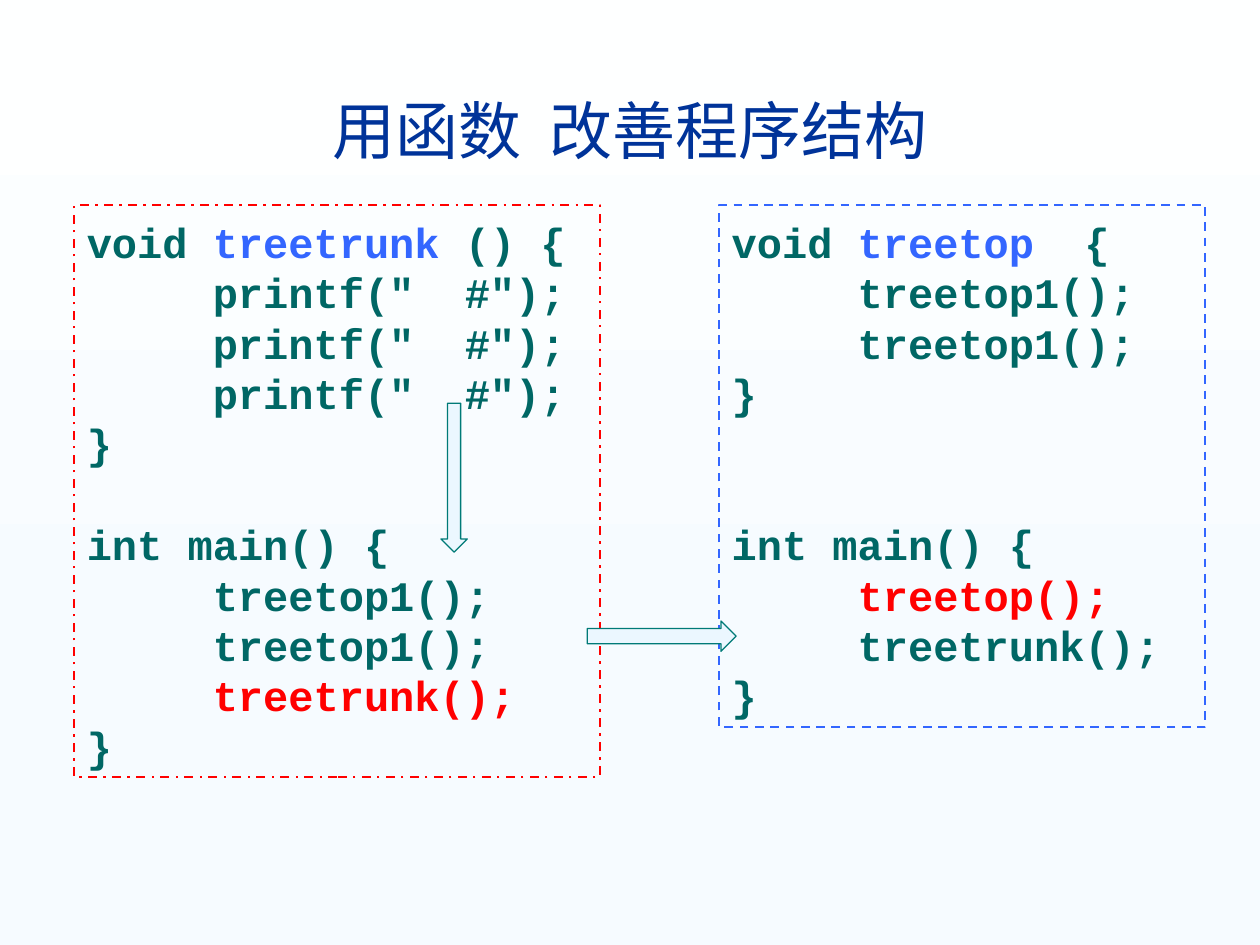
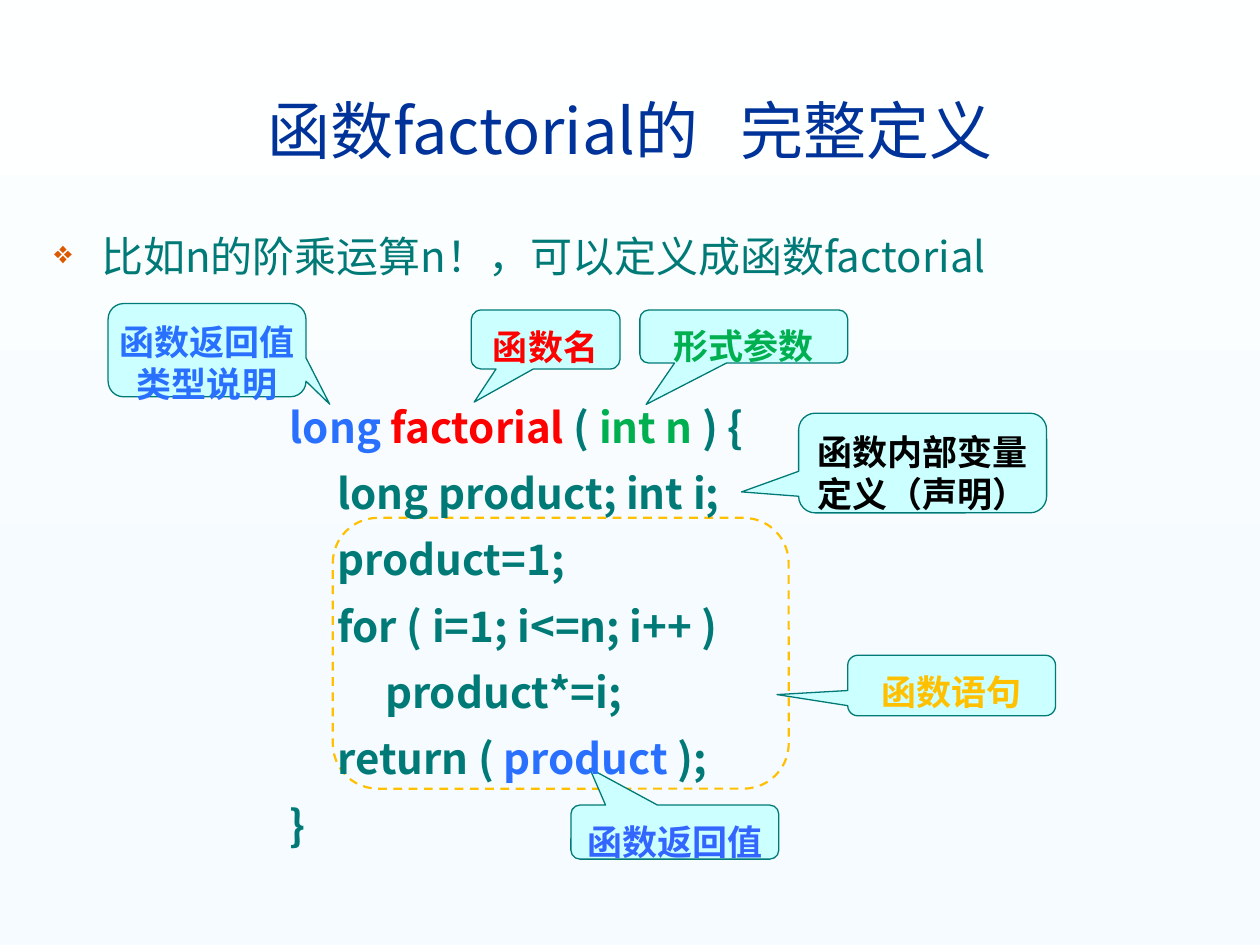
from lxml import etree
from pptx import Presentation
from pptx import util as u
from pptx.dml.color import RGBColor
from pptx.enum import dml, shapes, text
from pptx.oxml.ns import qn

NAVY = RGBColor(0x00, 0x33, 0x99)
TEAL = RGBColor(0x00, 0x7A, 0x77)
DARK_TEAL = RGBColor(0x00, 0x67, 0x65)
RED = RGBColor(0xFF, 0x00, 0x00)
BLUE = RGBColor(0x33, 0x66, 0xFF)
BRIGHT_BLUE = RGBColor(0x29, 0x70, 0xFF)
GREEN = RGBColor(0x00, 0xB0, 0x50)
AMBER = RGBColor(0xFF, 0xC0, 0x00)
ORANGE = RGBColor(0xDC, 0x59, 0x00)
BLACK = RGBColor(0x00, 0x00, 0x00)
AQUA = RGBColor(0xCC, 0xFF, 0xFF)
PALE = RGBColor(0xEB, 0xF7, 0xFF)
BACKDROP = [(0, "FEFFFF"), (74, "F6FBFF"), (83, "F6FBFF"), (100, "F9FDFF")]

SANS = "Noto Sans CJK SC"
MONO = "Courier New"
SHAPE = shapes.MSO_SHAPE
DASH = dml.MSO_LINE
CENTER = text.PP_ALIGN.CENTER


def child(parent, tag, **attrs):
    return etree.SubElement(parent, qn(tag), attrs)


class Deck:
    """Holds the presentation, its style and the current slide."""

    def __init__(self):
        self.prs = Presentation()
        self.prs.slide_width, self.prs.slide_height = u.Cm(25.4), u.Cm(19.05)
        master = self.prs.slide_master
        fill = master.background.fill
        fill.gradient()
        fill.gradient_angle = 270
        stops = next(master.element.iter(qn("a:gsLst")))
        for old in list(stops):
            stops.remove(old)
        for pos, color in BACKDROP:
            child(child(stops, "a:gs", pos=str(pos * 1000)), "a:srgbClr", val=color)

    def slide(self, *title_parts, gap):
        """Starts a slide; the title parts stand apart by gap points."""
        self.s = self.prs.slides.add_slide(self.prs.slide_layouts[6])
        tf = self.text_box(0.84, 1.7, 23.72, 1.83)
        tf.vertical_anchor = text.MSO_ANCHOR.MIDDLE
        p = tf.paragraphs[0]
        p.alignment = CENTER
        first, second = title_parts
        self.run(p, first, 36, NAVY)
        self.run(p, " ", 36, NAVY, spacing=gap)
        self.run(p, second, 36, NAVY)

    def text_box(self, x, y, w, h):
        tf = self.s.shapes.add_textbox(u.Cm(x), u.Cm(y), u.Cm(w), u.Cm(h)).text_frame
        tf.word_wrap = True
        return tf

    def run(self, p, words, size, color, bold=False, font=SANS, spacing=0):
        r = p.add_run()
        r.text = words
        r.font.size, r.font.bold, r.font.name = u.Pt(size), bold, font
        r.font.color.rgb = color
        rpr = r.font._element
        child(rpr, "a:ea", typeface=font)
        if spacing:
            rpr.set("spc", str(int(spacing * 100)))

    def shape(self, kind, x, y, w, h, line, fill=None, width=0.75, dash=None):
        sp = self.s.shapes.add_shape(kind, u.Cm(x), u.Cm(y), u.Cm(w), u.Cm(h))
        sp.shadow.inherit = False
        if fill is None:
            sp.fill.background()
        else:
            sp.fill.solid()
            sp.fill.fore_color.rgb = fill
        sp.line.color.rgb = line
        sp.line.width = u.Pt(width)
        if dash:
            sp.line.dash_style = dash
        return sp

    def arrow(self, kind, x, y, w, h):
        self.shape(kind, x, y, w, h, TEAL, PALE)

    def callout(self, x, y, w, h, tip, color, *lines, margin=0.25):
        """Rounded callout; tip is the offset of its point as a share of its size."""
        sp = self.shape(SHAPE.ROUNDED_RECTANGULAR_CALLOUT, x, y, w, h, TEAL, AQUA)
        sp.adjustments[0], sp.adjustments[1] = tip
        tf = sp.text_frame
        tf.word_wrap = True
        tf.vertical_anchor = text.MSO_ANCHOR.TOP
        tf.margin_left = tf.margin_right = u.Cm(margin)
        tf.margin_top, tf.margin_bottom = u.Cm(0.25), u.Cm(0)
        for i, words in enumerate(lines):
            p = tf.add_paragraph() if i else tf.paragraphs[0]
            p.alignment = CENTER
            p.line_spacing = u.Pt(24)
            self.run(p, words, 20, color, True)

    def bullet(self, words):
        p = self.text_box(0.84, 4.32, 23.72, 1.6).paragraphs[0]
        ppr = p._p.get_or_add_pPr()
        ppr.set("marL", str(u.Cm(0.95)))
        ppr.set("indent", str(-u.Cm(0.95)))
        p.line_spacing = 1.2
        child(child(ppr, "a:buClr"), "a:srgbClr", val=str(ORANGE))
        child(ppr, "a:buSzPct", val="75000")
        child(ppr, "a:buChar", char="❖")
        self.run(p, words, 24, TEAL)

    def code(self, tf, lines, color, font, pitch, before=0, tabs=()):
        """Writes lines of (words, colour) runs; a number in the list skips that many lines."""
        skipped, fresh = 0, True
        for line in lines:
            if isinstance(line, int):
                skipped = line
                continue
            p = tf.paragraphs[0] if fresh else tf.add_paragraph()
            p.alignment = text.PP_ALIGN.LEFT
            p.line_spacing = u.Pt(pitch)
            p.space_before = u.Pt(0 if fresh else before + skipped * pitch)
            if tabs:
                stops = child(p._p.get_or_add_pPr(), "a:tabLst")
                for stop in tabs:
                    child(stops, "a:tab", pos=str(u.Cm(stop)), algn="l")
            for part in [line] if isinstance(line, str) else line:
                words, tint, *spacing = (part, color) if isinstance(part, str) else part
                self.run(p, words, 24, tint, True, font, *spacing)
            skipped, fresh = 0, False

    def listing(self, x, w, h, line, dash, lines):
        """Framed program text in a fixed-width font."""
        sp = self.shape(SHAPE.RECTANGLE, x, 4.14, w, h, line, width=1.25, dash=dash)
        tf = sp.text_frame
        tf.word_wrap = True
        tf.vertical_anchor = text.MSO_ANCHOR.TOP
        tf.margin_top = u.Cm(0.22)
        self.code(tf, lines, DARK_TEAL, MONO, 28.8, tabs=(2.54, 7.62))


def structure_slide(deck):
    deck.slide("用函数", "改善程序结构", gap=8)
    deck.listing(1.5, 10.59, 11.53, RED, DASH.DASH_DOT, [
        ["void ", ("treetrunk", BLUE), " () {"],
        *['\tprintf(" \t#");'] * 3,
        "}",
        1,
        "int main() {",
        *["\ttreetop1();"] * 2,
        [("\ttreetrunk();", RED)],
        "}",
    ])
    deck.listing(14.5, 9.8, 10.52, BLUE, DASH.DASH, [
        ["void ", ("treetop", BLUE), (" ", BLUE, 14.4), "{"],
        *["\ttreetop1();"] * 2,
        "}",
        2,
        "int main() {",
        [("\ttreetop();", RED)],
        "\ttreetrunk();",
        "}",
    ])
    deck.arrow(SHAPE.DOWN_ARROW, 8.89, 8.13, 0.53, 3)
    deck.arrow(SHAPE.RIGHT_ARROW, 11.84, 12.52, 3, 0.61)


def factorial_slide(deck):
    deck.slide("函数factorial的", "完整定义", gap=16)
    deck.bullet("比如n的阶乘运算n！，可以定义成函数factorial")
    deck.callout(9.5, 6.25, 3, 1.19, (-0.48, 1.06), RED, "函数名")
    deck.callout(2.18, 6.12, 3.99, 1.88, (0.62, 0.58), BRIGHT_BLUE,
                 "函数返回值", "类型说明", margin=0.1)
    deck.callout(12.9, 6.25, 4.19, 1.07, (-0.47, 1.28), GREEN, "形式参数")
    deck.shape(SHAPE.ROUNDED_RECTANGLE, 6.71, 10.44, 9.19, 5.46, AMBER,
               width=1.25, dash=DASH.DASH)
    deck.callout(17.09, 13.21, 4.19, 1.22, (-0.84, 0.15), AMBER, "函数语句")
    deck.callout(16.1, 8.33, 5, 2.01, (-0.73, 0.29), BLACK, "函数内部变量定义（声明）")
    deck.callout(11.51, 16.23, 4.19, 1.09, (-0.41, -1.18), BLUE, "函数返回值")
    tf = deck.text_box(5.59, 7.8, 12.7, 9.45)
    tf.margin_top = u.Cm(0.18)
    deck.code(tf, [
        [("long ", BRIGHT_BLUE), ("factorial", RED), " ( ", ("int n", GREEN), " ) {"],
        "     long product; int i;",
        "     product=1;",
        "     for ( i=1; i<=n; i++ )",
        "          product*=i;",
        ["     return ( ", ("product", BRIGHT_BLUE), " );"],
        "}",
    ], TEAL, SANS, 31.9, before=6)


def main():
    deck = Deck()
    structure_slide(deck)
    factorial_slide(deck)
    deck.prs.save("out.pptx")


if __name__ == "__main__":
    main()
